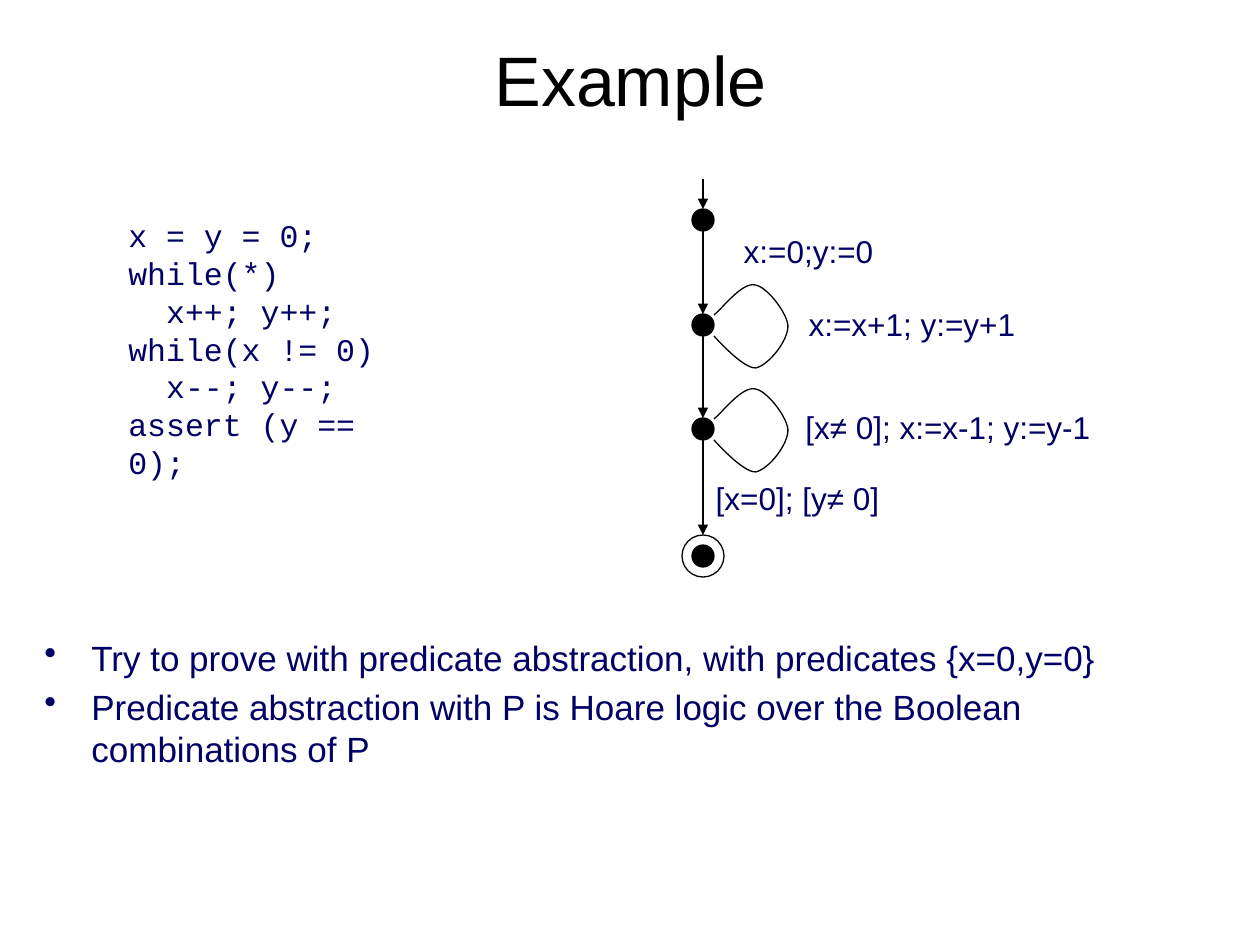
from lxml.etree import SubElement
from pptx import Presentation
from pptx.dml.color import RGBColor
from pptx.enum.shapes import MSO_CONNECTOR, MSO_SHAPE
from pptx.enum.text import MSO_ANCHOR, PP_ALIGN
from pptx.oxml.ns import qn
from pptx.util import Pt

EMU_PER_PX = 914400 / 126
COLORS = {"ink": "000000", "text": "000066"}

NODE_X = 703
NODE_RADIUS, FINAL_RADIUS = 11, 21
START_Y, FIRST_LOOP_Y, SECOND_LOOP_Y, ERROR_Y = 220, 325, 429, 556

# Offsets from the node centre: three control points for each Bezier curve
LOOP_START = (11, 11)
LOOP_CONTROLS = [
    (11, 11), (40, 44), (53, 43),
    (66, 40), (86, 15), (85, 0),
    (83, -14), (63, -39), (52, -40),
    (39, -43), (19, -16), (11, -10),
]

CODE = [
    "x = y = 0;",
    "while(*)",
    "  x++; y++;",
    "while(x != 0)",
    "  x--; y--;",
    "assert (y == 0);",
]
LABELS = [
    ("x:=0;y:=0", (731, 226, 155, 50)),
    ("x:=x+1; y:=y+1", (796, 299, 232, 50)),
    ("[x≠ 0]; x:=x-1; y:=y-1", (793, 402, 310, 50)),
    ("[x=0]; [y≠ 0]", (703, 473, 189, 50)),
]
BULLETS = [
    "Try to prove with predicate abstraction, with predicates {x=0,y=0}",
    "Predicate abstraction with P is Hoare logic over the Boolean combinations of P",
]


def px(*lengths):
    return [round(length * EMU_PER_PX) for length in lengths]


def rgb(name):
    return RGBColor.from_string(COLORS[name])


def set_outline(shape):
    shape.line.color.rgb = rgb("ink")
    shape.line.width = Pt(0.75)


def make_bullet(paragraph):
    properties = paragraph._p.get_or_add_pPr()
    indent = px(47)[0]
    properties.set("marL", str(indent))
    properties.set("indent", str(-indent))
    SubElement(properties, qn("a:buChar"), char="•")


def add_text(slide, box, lines, size, font="Arial", color="text", align=PP_ALIGN.LEFT,
             anchor=MSO_ANCHOR.TOP, wrap=True, bulleted=False, gap=0):
    frame = slide.shapes.add_textbox(*px(*box)).text_frame
    frame.word_wrap = wrap
    frame.vertical_anchor = anchor
    for index, line in enumerate(lines):
        paragraph = frame.add_paragraph() if index else frame.paragraphs[0]
        paragraph.text = line
        paragraph.alignment = align
        if index and gap:
            paragraph.space_before = Pt(gap)
        if bulleted:
            make_bullet(paragraph)
        paragraph.font.name = font
        paragraph.font.size = Pt(size)
        paragraph.font.color.rgb = rgb(color)


def add_circle(slide, y, radius, filled=True):
    box = px(NODE_X - radius, y - radius, 2 * radius, 2 * radius)
    circle = slide.shapes.add_shape(MSO_SHAPE.OVAL, *box)
    circle.shadow.inherit = False
    if filled:
        circle.fill.solid()
        circle.fill.fore_color.rgb = rgb("ink")
    else:
        circle.fill.background()
    set_outline(circle)
    return circle


def add_arrow(slide, start_y, target):
    """Draw an arrow straight down to the top of the target circle."""
    x, y = px(NODE_X, start_y)
    arrow = slide.shapes.add_connector(MSO_CONNECTOR.STRAIGHT, x, y, x, target.top)
    arrow.end_connect(target, 0)
    set_outline(arrow)
    SubElement(arrow.line._get_or_add_ln(), qn("a:tailEnd"), type="triangle")
    SubElement(arrow._element.spPr, qn("a:effectLst"))


def add_loop(slide, y):
    """Build the outline from control points, then turn each three into a curve."""
    builder = slide.shapes.build_freeform(
        NODE_X + LOOP_START[0], y + LOOP_START[1], scale=EMU_PER_PX)
    points = [(NODE_X + dx, y + dy) for dx, dy in LOOP_CONTROLS]
    builder.add_line_segments(points, close=False)
    loop = builder.convert_to_shape()
    outline = loop._element.find(".//" + qn("a:path"))
    segments = outline.findall(qn("a:lnTo"))
    for first in range(0, len(segments), 3):
        curve = SubElement(outline, qn("a:cubicBezTo"))
        for segment in segments[first:first + 3]:
            curve.append(segment[0])
            outline.remove(segment)
    loop.shadow.inherit = False
    loop.fill.background()
    set_outline(loop)


def add_automaton(slide):
    start, first, second = [
        add_circle(slide, y, NODE_RADIUS) for y in (START_Y, FIRST_LOOP_Y, SECOND_LOOP_Y)]
    add_circle(slide, ERROR_Y, NODE_RADIUS)
    error = add_circle(slide, ERROR_Y, FINAL_RADIUS, filled=False)

    add_arrow(slide, 179, start)
    for y, target in ((START_Y, first), (FIRST_LOOP_Y, second), (SECOND_LOOP_Y, error)):
        add_arrow(slide, y + NODE_RADIUS, target)
    for y in (FIRST_LOOP_Y, SECOND_LOOP_Y):
        add_loop(slide, y)
    for label, box in LABELS:
        add_text(slide, box, [label], 18, align=PP_ALIGN.CENTER, wrap=False)


def main():
    presentation = Presentation()
    presentation.slide_width, presentation.slide_height = px(1260, 945)
    slide = presentation.slides.add_slide(presentation.slide_layouts[6])

    add_text(slide, (32, 21, 1197, 116), ["Example"], 40, color="ink",
             align=PP_ALIGN.CENTER, anchor=MSO_ANCHOR.MIDDLE)
    add_text(slide, (116, 210, 326, 239), CODE, 18, font="Courier New")
    add_automaton(slide)
    add_text(slide, (32, 630, 1197, 147), BULLETS, 20, bulleted=True, gap=4)

    presentation.save("out.pptx")


if __name__ == "__main__":
    main()
